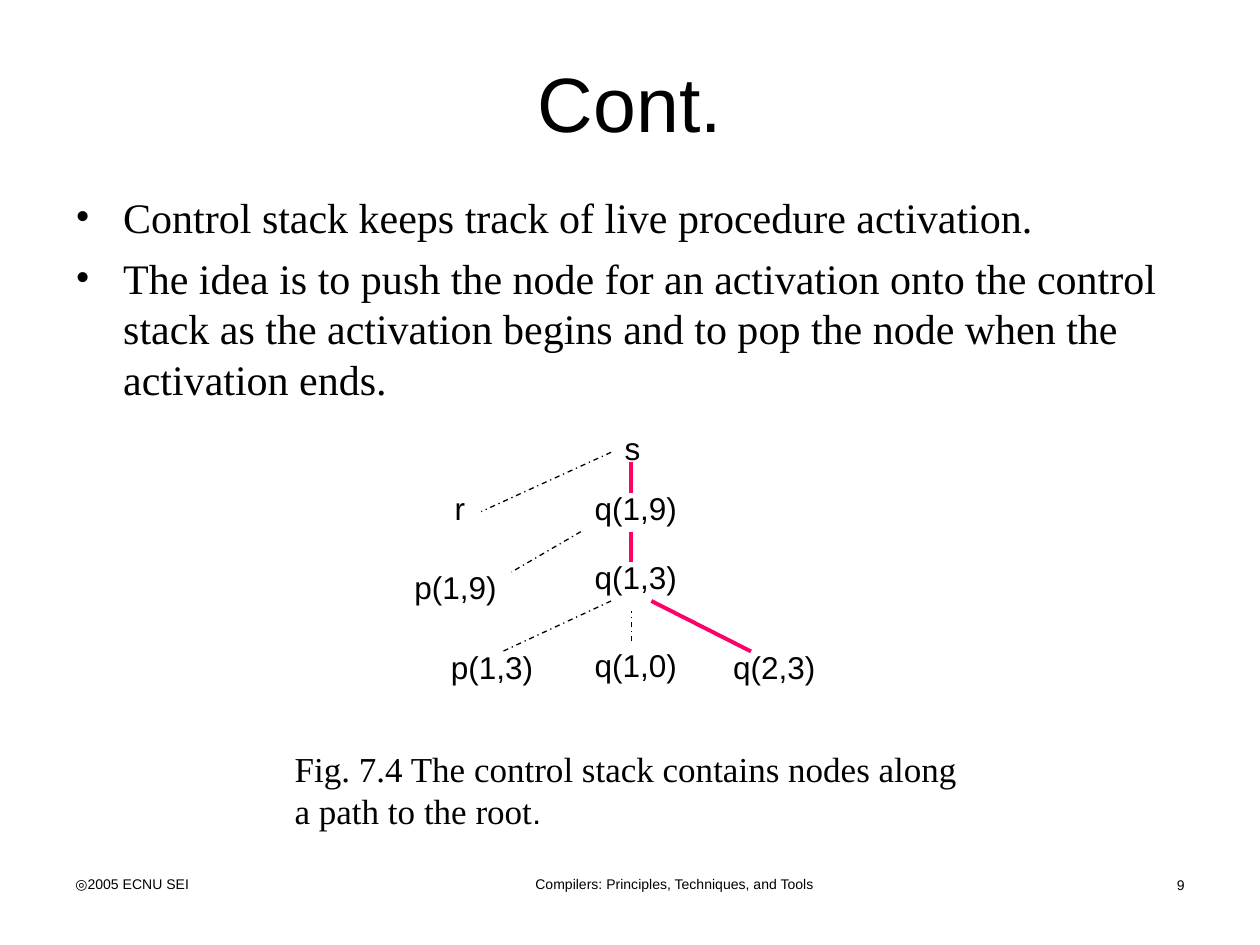
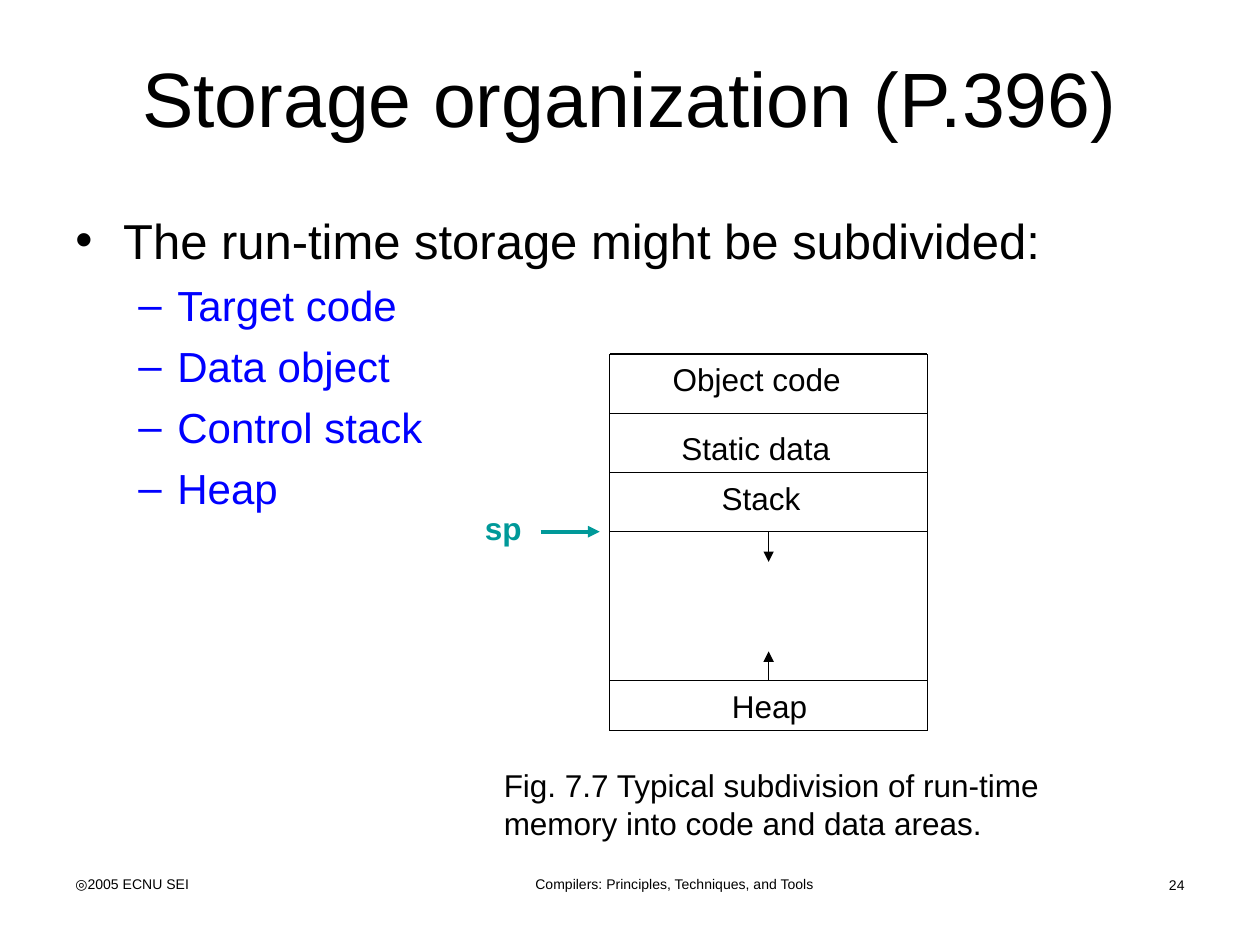
from lxml.etree import SubElement
from pptx import Presentation
from pptx.dml.color import RGBColor
from pptx.enum.dml import MSO_LINE as Dash
from pptx.enum.shapes import MSO_CONNECTOR as Link
from pptx.enum.text import MSO_ANCHOR as Anchor, MSO_AUTO_SIZE as Fit, PP_ALIGN as Align
from pptx.oxml.ns import qn
from pptx.util import Inches, Pt

BLACK, PINK, BLUE, TEAL = "000000", "FF0066", "0000FF", "009999"
SANS, SERIF = "Arial", "Times New Roman"
hue = RGBColor.from_string


def write(box, at, lines, size=18, font=SANS, color=BLACK, bold=None,
          align=Align.LEFT, anchor=Anchor.TOP, wrap=True):
    """Place a text shape and fill it, one paragraph per line."""
    box.left, box.top, box.width, box.height = map(Inches, at)
    frame = box.text_frame
    look = {"auto_size": Fit.NONE, "word_wrap": wrap, "vertical_anchor": anchor}
    for key, value in look.items():
        setattr(frame, key, value)
    frame.text = "\n".join(lines)
    for para in frame.paragraphs:
        para.alignment = align
        style = para.runs[0].font
        style.color.rgb = hue(color)
        for key, value in {"name": font, "size": Pt(size), "bold": bold}.items():
            setattr(style, key, value)
    return frame


def draw(slide, start, end, color=BLACK, width=0.75, dash=None, arrow=False):
    """Draw a straight line, with an arrowhead at its end if wanted."""
    ends = map(Inches, (*start, *end))
    link = slide.shapes.add_connector(Link.STRAIGHT, *ends)
    link.line.color.rgb = hue(color)
    link.line.width = Pt(width)
    if dash:
        link.line.dash_style = dash
    if arrow:
        SubElement(link.line._ln, qn("a:tailEnd"), type="triangle")
    SubElement(link._element.spPr, qn("a:effectLst"))


deck = Presentation()
deck.slide_width, deck.slide_height = Inches(10), Inches(7.5)

# Title, bullets and footer of each slide
pages = [
    {"title": "Cont.", "tall": 1.01, "page": "9",
     "body": (0.5, 1.47, 9, 1.81),
     "items": [
         (0, "Control stack keeps track of live procedure activation."),
         (0, "The idea is to push the node for an activation onto the control "
             "stack as the activation begins and to pop the node when the "
             "activation ends.")],
     "font": SERIF, "size": 24},
    {"title": "Storage organization (P.396)", "tall": 0.93, "page": "24",
     "body": (0.5, 1.62, 9, 2.55),
     "items": [(0, "The run-time storage might be subdivided:"),
               (1, "Target code"), (1, "Data object"),
               (1, "Control stack"), (1, "Heap")],
     "font": SANS, "size": 28},
]
marks = [("•", 0.38, 0.38, BLACK), ("–", 0.81, 0.31, BLUE)]
slides = []
for page in pages:
    slide = deck.slides.add_slide(deck.slide_layouts[5])
    slides.append(slide)
    write(slide.shapes.title, (0.5, 0.3, 9, page["tall"]), [page["title"]], 44,
          align=Align.CENTER, anchor=Anchor.MIDDLE)

    box = slide.shapes.add_textbox(0, 0, 0, 0)
    frame = write(box, page["body"], [item for _, item in page["items"]],
                  page["size"], page["font"])
    for spot, (para, (level, _)) in enumerate(zip(frame.paragraphs, page["items"])):
        mark, left, hang, color = marks[level]
        para.level = level
        if spot:
            para.space_before = Pt(6)
        props = para._p.get_or_add_pPr()
        props.set("marL", str(Inches(left)))
        props.set("indent", str(-Inches(hang)))
        tint = SubElement(props, qn("a:buClr"))
        SubElement(tint, qn("a:srgbClr"), val=color)
        SubElement(props, qn("a:buFont"), typeface=page["font"])
        SubElement(props, qn("a:buChar"), char=mark)
        if level:
            para.runs[0].font.size = Pt(24)
            para.runs[0].font.color.rgb = hue(color)

    for at, words, align in [
            ((3.27, 6.9, 4.17, 0.28), "Compilers: Principles, Techniques, and Tools",
             Align.CENTER),
            ((8.15, 6.91, 1.35, 0.23), page["page"], Align.RIGHT),
            ((0.5, 6.9, 2.33, 0.31), "◎2005 ECNU SEI", Align.LEFT)]:
        write(slide.shapes.add_textbox(0, 0, 0, 0), at, [words], 8, align=align)

tree, store = slides

# Activation tree: nodes, live path, finished calls
nodes = [("p(1,9)", 3.19, 4.46, 0.85), ("p(1,3)", 3.48, 5.09, 0.85),
         ("r", 3.51, 3.83, 0.28), ("q(1,0)", 4.62, 5.08, 0.85),
         ("q(1,3)", 4.62, 4.38, 0.85), ("q(1,9)", 4.62, 3.83, 0.85),
         ("s", 4.86, 3.36, 0.32), ("q(2,3)", 5.72, 5.09, 0.85)]
for name, left, top, width in nodes:
    write(tree.shapes.add_textbox(0, 0, 0, 0), (left, top, width, 0.4), [name],
          wrap=False)

live = [((5.01, 3.67), (5.01, 3.91)), ((5.01, 4.46), (5.01, 4.22)),
        ((5.17, 4.77), (5.96, 5.17))]
done = [((5.01, 5.09), (5.01, 4.85)), ((4.85, 4.77), (3.99, 5.17)),
        ((4.85, 3.59), (3.82, 4.06)), ((4.61, 4.22), (4.06, 4.54))]
for start, end in live:
    draw(tree, start, end, PINK, 2.25)
for start, end in done:
    draw(tree, start, end, dash=Dash.DASH_DOT)

frame = write(tree.shapes.add_textbox(0, 0, 0, 0), (2.24, 5.88, 5.59, 0.77),
              ["Fig. 7.4 The control stack contains nodes along a path to the root"],
              20, SERIF)
stop = frame.paragraphs[0].add_run()
stop.text = "."
stop.font.name, stop.font.size = SANS, Pt(18)
stop.font.color.rgb = hue(BLACK)

# Memory map: frame, rows, labels
west, east, top, base = 4.84, 7.36, 2.81, 5.8
for y in (top, 3.28, 3.75, 4.22, 5.4, base):
    draw(store, (west, y), (east, y))
for x in (west, east):
    draw(store, (x, top), (x, base))

areas = [("Object code", 5.24, 2.81, 1.65), ("Static data", 5.31, 3.36, 1.58),
         ("Stack", 5.63, 3.75, 0.87), ("Heap", 5.71, 5.4, 0.87)]
for name, left, y, width in areas:
    write(store.shapes.add_textbox(0, 0, 0, 0), (left, y, width, 0.4), [name])

# Growth arrows and stack pointer
mid = (west + east) / 2
draw(store, (mid, 5.4), (mid, 5.17), arrow=True)
draw(store, (mid, 4.22), (mid, 4.46), arrow=True)
draw(store, (4.29, 4.22), (4.76, 4.22), TEAL, 2.25, arrow=True)
write(store.shapes.add_textbox(0, 0, 0, 0), (3.75, 3.99, 0.49, 0.4), ["sp"],
      color=TEAL, bold=True, wrap=False)
write(store.shapes.add_textbox(0, 0, 0, 0), (3.9, 6.03, 4.88, 0.7),
      ["Fig. 7.7 Typical subdivision of run-time memory into code and data areas."])

deck.save("out.pptx")
